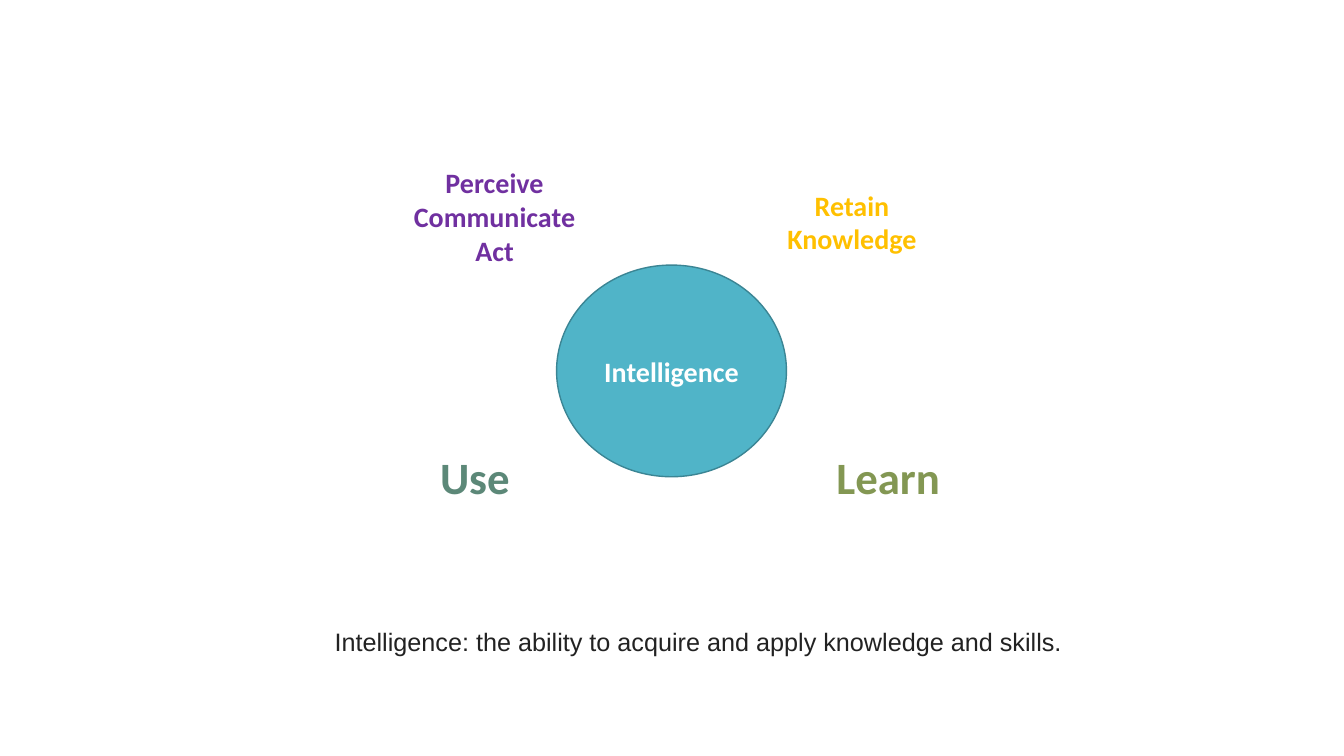
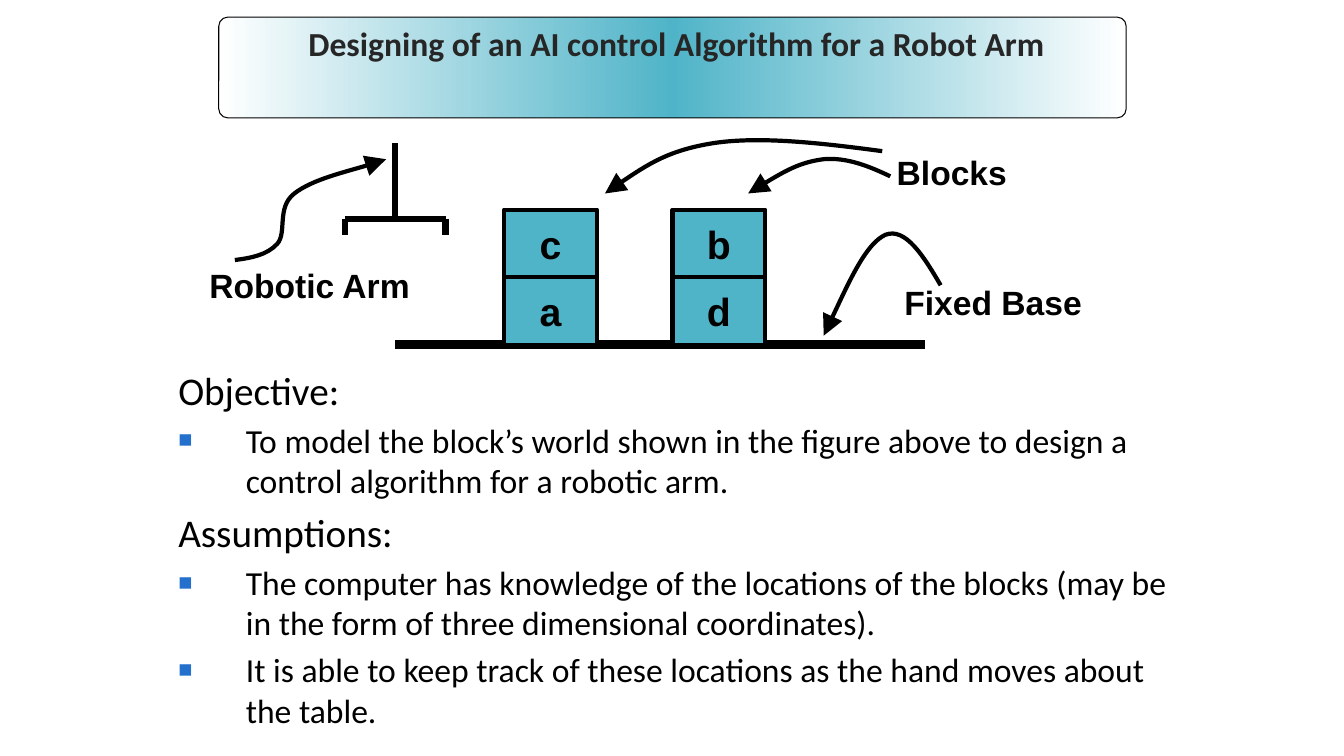
from copy import deepcopy
from dataclasses import dataclass

from lxml.etree import SubElement
from pptx import Presentation
from pptx.dml.color import RGBColor
from pptx.enum.shapes import MSO_CONNECTOR, MSO_SHAPE
from pptx.enum.text import MSO_ANCHOR, MSO_AUTO_SIZE, PP_ALIGN
from pptx.oxml.ns import qn
from pptx.util import Inches, Pt

WHITE = RGBColor(0xFF, 0xFF, 0xFF)
BLACK = RGBColor(0x00, 0x00, 0x00)
TEAL = RGBColor(0x50, 0xB4, 0xC8)
DARK_TEAL = RGBColor(0x3B, 0x85, 0x94)
PURPLE = RGBColor(0x70, 0x30, 0xA0)
AMBER = RGBColor(0xFF, 0xC0, 0x00)
OLIVE = RGBColor(0x83, 0x97, 0x53)
GREEN = RGBColor(0x5C, 0x88, 0x78)
CHARCOAL = RGBColor(0x22, 0x22, 0x22)
TITLE_GREY = RGBColor(0x26, 0x26, 0x26)
BULLET_BLUE = RGBColor(0x23, 0x70, 0xCD)

HEADING_FONT = "Calibri"
LABEL_FONT = "Arial"
BLANK_LAYOUT, TITLE_ONLY_LAYOUT = 6, 5

Point = tuple[float, float]
Box = tuple[float, float, float, float]


@dataclass(frozen=True)
class TextStyle:
    size: float
    color: RGBColor
    font: str = HEADING_FONT
    bold: bool = True


@dataclass(frozen=True)
class Ability:
    lines: tuple[str, ...]
    box: Box
    style: TextStyle


@dataclass(frozen=True)
class Label:
    text: str
    box: Box


@dataclass(frozen=True)
class Stroke:
    start: Point
    end: Point
    width: float


@dataclass(frozen=True)
class Pointer:
    start: Point
    curves: tuple[tuple[Point, Point, Point], ...]


@dataclass(frozen=True)
class Statement:
    text: str
    size: float
    bulleted: bool = False


TITLE_STYLE = TextStyle(24, TITLE_GREY)
LABEL_STYLE = TextStyle(24, BLACK, LABEL_FONT)
BLOCK_STYLE = TextStyle(28, BLACK, LABEL_FONT)

ABILITIES = (
    Ability(("Perceive", "Communicate", "Act"), (3.91, 1.61, 1.99, 1.07), TextStyle(20, PURPLE)),
    Ability(("Retain Knowledge",), (7.51, 1.75, 1.88, 0.9), TextStyle(20, AMBER)),
    Ability(("Learn",), (7.87, 4.28, 1.88, 0.9), TextStyle(32, OLIVE)),
    Ability(("Use",), (3.77, 4.28, 1.88, 0.9), TextStyle(32, GREEN)),
)

STATEMENTS = (
    Statement("Objective:", 28),
    Statement("To model the block’s world shown in the figure above to design a "
              "control algorithm for a robotic arm.", 24, True),
    Statement("Assumptions:", 28),
    Statement("The computer has knowledge of the locations of the blocks (may be "
              "in the form of three dimensional coordinates).", 24, True),
    Statement("It is able to keep track of these locations as the hand moves about "
              "the table.", 24, True),
)

BASE_Y = 3.42
BLOCK_WIDTH, BLOCK_HEIGHT = 0.92, 0.67
STACKS = ((5, "ac"), (6.67, "db"))

STROKES = (
    Stroke((3.92, 1.42), (3.92, 2.17), 4.5),
    Stroke((3.42, 2.17), (4.42, 2.17), 4.5),
    Stroke((3.42, 2.17), (3.42, 2.33), 4.5),
    Stroke((4.42, 2.17), (4.42, 2.33), 4.5),
)

LABELS = (
    Label("Blocks", (8.79, 1.46, 1.3, 0.5)),
    Label("Fixed Base", (8.87, 2.75, 1.96, 0.5)),
    Label("Robotic Arm", (1.97, 2.58, 2.2, 0.5)),
)

POINTERS = (
    Pointer((2.33, 2.58), (
        ((2.49, 2.56), (2.65, 2.53), (2.75, 2.42)),
        ((2.85, 2.31), (2.74, 2.06), (2.92, 1.92)),
        ((3.1, 1.78), (3.68, 1.64), (3.83, 1.58)),
    )),
    Pointer((8.75, 1.5), (
        ((8.15, 1.42), (7.54, 1.35), (7.08, 1.42)),
        ((6.63, 1.49), (6.31, 1.7), (6, 1.92)),
    )),
    Pointer((8.83, 1.75), (
        ((8.62, 1.65), (8.4, 1.56), (8.17, 1.58)),
        ((7.93, 1.61), (7.67, 1.76), (7.42, 1.92)),
    )),
    Pointer((9.33, 2.83), (
        ((9.16, 2.54), (8.98, 2.25), (8.78, 2.33)),
        ((8.59, 2.42), (8.38, 2.88), (8.17, 3.33)),
    )),
)


def inches(values: tuple[float, ...]) -> list[int]:
    return [Inches(value) for value in values]


def add_run(paragraph, text: str, style: TextStyle) -> None:
    run = paragraph.add_run()
    run.text = text
    run.font.name = style.font
    run.font.size = Pt(style.size)
    run.font.bold = style.bold
    run.font.color.rgb = style.color


def write_lines(shape, lines: tuple[str, ...], style: TextStyle,
                alignment=PP_ALIGN.CENTER, wrap: bool = True) -> None:
    frame = shape.text_frame
    frame.word_wrap = wrap
    for index, line in enumerate(lines):
        paragraph = frame.paragraphs[0] if index == 0 else frame.add_paragraph()
        paragraph.alignment = alignment
        add_run(paragraph, line, style)


def add_filled(shapes, kind, box: Box, fill: RGBColor, outline: RGBColor | None = None,
               width: float = 1):
    shape = shapes.add_shape(kind, *inches(box))
    shape.shadow.inherit = False
    shape.fill.solid()
    shape.fill.fore_color.rgb = fill
    if outline is None:
        shape.line.fill.background()
    else:
        shape.line.color.rgb = outline
        shape.line.width = Pt(width)
    return shape


def add_label(shapes, label: Label, style: TextStyle, alignment=PP_ALIGN.CENTER) -> None:
    text_box = shapes.add_textbox(*inches(label.box))
    write_lines(text_box, (label.text,), style, alignment, wrap=False)
    text_box.text_frame.auto_size = MSO_AUTO_SIZE.SHAPE_TO_FIT_TEXT


def add_stroke(shapes, stroke: Stroke) -> None:
    connector = shapes.add_connector(MSO_CONNECTOR.STRAIGHT, *inches(stroke.start + stroke.end))
    connector.line.color.rgb = BLACK
    connector.line.width = Pt(stroke.width)
    SubElement(connector._element.spPr, qn("a:effectLst"))


def bend_segments(curve) -> None:
    outline = next(curve._element.iter(qn("a:path")))
    segments = outline.findall(qn("a:lnTo"))
    for first in range(0, len(segments), 3):
        bezier = SubElement(outline, qn("a:cubicBezTo"))
        for segment in segments[first:first + 3]:
            bezier.append(segment[0])
            outline.remove(segment)


def add_pointer(shapes, pointer: Pointer) -> None:
    builder = shapes.build_freeform(*inches(pointer.start))
    controls = [inches(point) for curve in pointer.curves for point in curve]
    builder.add_line_segments(controls, close=False)
    curve = builder.convert_to_shape()
    bend_segments(curve)
    curve.shadow.inherit = False
    curve.fill.background()
    curve.line.color.rgb = BLACK
    curve.line.width = Pt(3)
    SubElement(curve._element.spPr.find(qn("a:ln")), qn("a:tailEnd"),
               type="triangle", w="lg", len="lg")


def add_title(slide, text: str) -> None:
    title = slide.shapes.title
    title.left, title.top, title.width, title.height = inches((2.25, 0.25, 8.92, 0.83))
    write_lines(title, (text,), TITLE_STYLE)
    title.text_frame.vertical_anchor = MSO_ANCHOR.TOP
    title.text_frame.auto_size = MSO_AUTO_SIZE.NONE
    paragraph = title.text_frame.paragraphs[0]
    paragraph.line_spacing = 0.8
    paragraph.space_before = Pt(13)

    band = add_filled(slide.shapes, MSO_SHAPE.ROUNDED_RECTANGLE, (2.17, 0.17, 9, 1),
                      TEAL, BLACK, 0.75)
    band.adjustments[0] = 0.09
    band.fill.gradient()
    band.fill.gradient_angle = 0
    stop_list = band._element.spPr.find(qn("a:gradFill")).find(qn("a:gsLst"))
    stop_list.append(deepcopy(stop_list[0]))
    for index, color in enumerate((WHITE, TEAL, WHITE)):
        stop = band.fill.gradient_stops[index]
        stop.color.rgb = color
        stop.position = index / 2
    title._element.addprevious(band._element)


def add_bullet(paragraph) -> None:
    properties = paragraph._p.get_or_add_pPr()
    color = SubElement(properties, qn("a:buClr"))
    SubElement(color, qn("a:srgbClr"), val=str(BULLET_BLUE))
    SubElement(properties, qn("a:buSzPct"), val="70000")
    SubElement(properties, qn("a:buFont"), typeface=LABEL_FONT)
    SubElement(properties, qn("a:buChar"), char="■")


def add_statements(slide) -> None:
    frame = slide.shapes.add_textbox(*inches((1.67, 3.58, 10, 3.92))).text_frame
    frame.word_wrap = True
    for index, statement in enumerate(STATEMENTS):
        paragraph = frame.paragraphs[0] if index == 0 else frame.add_paragraph()
        paragraph.space_before = Pt(0.2 * statement.size)
        properties = paragraph._p.get_or_add_pPr()
        properties.set("marL", str(Inches(0.67)))
        properties.set("indent", str(-Inches(0.67)))
        if statement.bulleted:
            add_bullet(paragraph)
        add_run(paragraph, statement.text, TextStyle(statement.size, BLACK, bold=False))


def build_intelligence_slide(presentation) -> None:
    slide = presentation.slides.add_slide(presentation.slide_layouts[BLANK_LAYOUT])
    core = add_filled(slide.shapes, MSO_SHAPE.OVAL, (5.52, 2.63, 2.28, 2.1), TEAL, DARK_TEAL)
    write_lines(core, ("Intelligence",), TextStyle(20, WHITE))
    for ability in ABILITIES:
        shape = add_filled(slide.shapes, MSO_SHAPE.RECTANGLE, ability.box, WHITE)
        write_lines(shape, ability.lines, ability.style)
    definition = Label("Intelligence: the ability to acquire and apply knowledge and skills.",
                       (3.22, 6.16, 7.48, 0.4))
    add_label(slide.shapes, definition, TextStyle(18, CHARCOAL, LABEL_FONT, False),
              PP_ALIGN.LEFT)


def build_robot_slide(presentation) -> None:
    slide = presentation.slides.add_slide(presentation.slide_layouts[TITLE_ONLY_LAYOUT])
    add_title(slide, "Designing of an AI control Algorithm for a Robot Arm")
    add_statements(slide)
    shapes = slide.shapes.add_group_shape().shapes
    add_stroke(shapes, Stroke((3.92, BASE_Y), (9.17, BASE_Y), 6))
    for left, letters in STACKS:
        for level, letter in enumerate(letters, start=1):
            box = (left, BASE_Y - level * BLOCK_HEIGHT, BLOCK_WIDTH, BLOCK_HEIGHT)
            block = add_filled(shapes, MSO_SHAPE.RECTANGLE, box, TEAL, BLACK, 3)
            write_lines(block, (letter,), BLOCK_STYLE, wrap=False)
    for stroke in STROKES:
        add_stroke(shapes, stroke)
    for label in LABELS:
        add_label(shapes, label, LABEL_STYLE)
    for pointer in POINTERS:
        add_pointer(shapes, pointer)


def main() -> None:
    presentation = Presentation()
    presentation.slide_width, presentation.slide_height = inches((13.33, 7.5))
    build_intelligence_slide(presentation)
    build_robot_slide(presentation)
    presentation.save("out.pptx")


if __name__ == "__main__":
    main()
